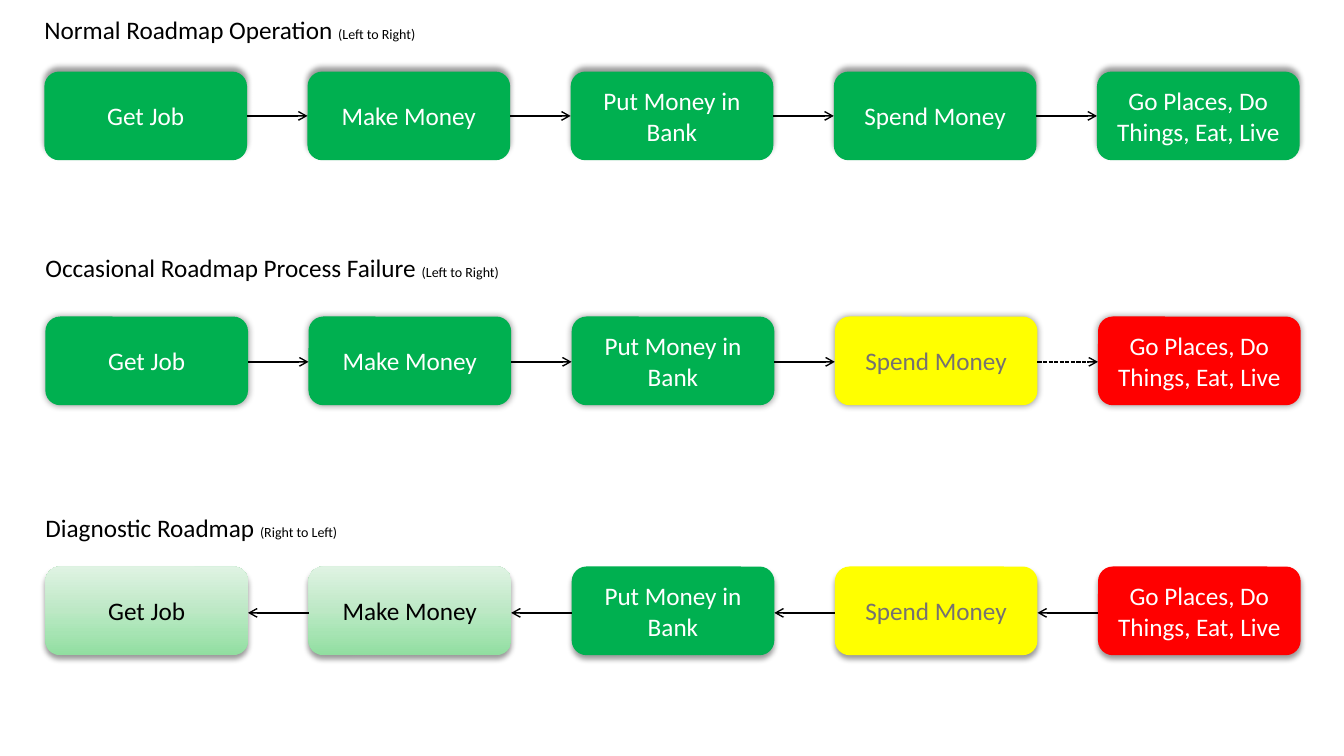
from dataclasses import dataclass

from lxml import etree
from pptx import Presentation
from pptx.dml.color import RGBColor
from pptx.enum.dml import MSO_LINE
from pptx.enum.shapes import MSO_CONNECTOR, MSO_SHAPE
from pptx.enum.text import MSO_ANCHOR, MSO_AUTO_SIZE, PP_ALIGN
from pptx.oxml.ns import qn
from pptx.util import Inches, Pt

ROUND = MSO_SHAPE.ROUNDED_RECTANGLE
STRAIGHT = MSO_CONNECTOR.STRAIGHT
DASH = MSO_LINE.SQUARE_DOT
MIDDLE, TOP = MSO_ANCHOR.MIDDLE, MSO_ANCHOR.TOP
CENTER, LEFT = PP_ALIGN.CENTER, PP_ALIGN.LEFT
FIXED = MSO_AUTO_SIZE.NONE


@dataclass(frozen=True)
class Theme:
    font: str = "Calibri"
    body: int = 18
    note: int = 10
    ink: str = "000000"
    white: str = "FFFFFF"
    gray: str = "767171"
    green: str = "00B050"
    yellow: str = "FFFF00"
    red: str = "FF0000"
    # Pale gradient: percent and colour, from the bottom up
    pale: tuple = ((0, "91DEA0"), (25, "A6E4B3"), (38, "B1E7BC"),
                   (50, "BDE8C5"), (100, "DFF3E3"))


@dataclass(frozen=True)
class Lane:
    title: str
    note: str
    left: float
    head: float      # top of the heading
    top: float       # top of the boxes
    axis: float      # height of the arrows
    shade: tuple     # shadow blur, distance, angle
    looks: tuple     # one (fill, text) pair per step
    back: bool = False
    dash: tuple = ()  # gaps with a dashed arrow


T = Theme()
WIDE, HIGH = 13.33, 7.5
PITCH, BOX_W, BOX_H = 2.61, 2.01, 0.88
HEAD_W, HEAD_H = 4.61, 0.3

STEPS = ("Get Job", "Make Money", "Put Money in Bank", "Spend Money",
         "Go Places, Do Things, Eat, Live")

GOOD = (T.green, T.white)
WARN = (T.yellow, T.gray)
FAIL = (T.red, T.white)
IDLE = (T.pale, T.ink)

LANES = (
    Lane("Normal Roadmap Operation ", "(Left to Right)",
         0.44, 0.14, 0.71, 1.15, (4, 3, 270), (GOOD,) * 5),
    Lane("Occasional Roadmap Process Failure ", "(Left to Right)",
         0.45, 2.5, 3.14, 3.59, (5, 0, 0), (GOOD,) * 3 + (WARN, FAIL),
         dash=(3,)),
    Lane("Diagnostic Roadmap ", "(Right to Left)",
         0.45, 5.08, 5.62, 6.08, (4, 3, 90),
         (IDLE, IDLE, GOOD, WARN, FAIL), back=True),
)


def rgb(code):
    return RGBColor.from_string(code)


def sub(node, tag, **attrs):
    return etree.SubElement(node, qn(tag), attrs)


def add_run(para, text, size, color):
    run = para.add_run()
    run.text = text
    run.font.name = T.font
    run.font.size = Pt(size)
    run.font.color.rgb = rgb(color)


def paint(shape, look):
    """Fill with one colour, or with gradient stops."""
    fill = shape.fill
    if isinstance(look, str):
        fill.solid()
        fill.fore_color.rgb = rgb(look)
        return
    fill.gradient()
    fill.gradient_angle = 90
    stops = shape._element.spPr.find(".//" + qn("a:gsLst"))
    for old in list(stops):
        stops.remove(old)
    for share, code in look:
        stop = sub(stops, "a:gs", pos=str(share * 1000))
        sub(stop, "a:srgbClr", val=code)


def add_shade(shape, blur, dist, angle):
    shape.shadow.inherit = False
    effects = shape._element.spPr.find(qn("a:effectLst"))
    shade = sub(effects, "a:outerShdw", blurRad=str(Pt(blur)),
                dist=str(Pt(dist)), dir=str(angle * 60000),
                rotWithShape="0")
    color = sub(shade, "a:srgbClr", val=T.ink)
    sub(color, "a:alpha", val="40000")


def add_box(slide, left, lane, text, look):
    box = slide.shapes.add_shape(ROUND, Inches(left), Inches(lane.top),
                                 Inches(BOX_W), Inches(BOX_H))
    fill, ink = look
    paint(box, fill)
    box.line.fill.background()
    add_shade(box, *lane.shade)
    frame = box.text_frame
    frame.word_wrap = True
    frame.vertical_anchor = MIDDLE
    para = frame.paragraphs[0]
    para.alignment = CENTER
    add_run(para, text, T.body, ink)


def add_arrow(slide, start, end, lane, dashed):
    y = Inches(lane.axis)
    arrow = slide.shapes.add_connector(STRAIGHT, Inches(start), y,
                                       Inches(end), y)
    arrow.line.color.rgb = rgb(T.ink)
    arrow.line.width = Pt(1)
    if dashed:
        arrow.line.dash_style = DASH
    tip = "a:headEnd" if lane.back else "a:tailEnd"
    sub(arrow.line._get_or_add_ln(), tip, type="arrow")
    sub(arrow._element.spPr, "a:effectLst")


def set_head(shape, lane):
    shape.left, shape.top = Inches(lane.left), Inches(lane.head)
    shape.width, shape.height = Inches(HEAD_W), Inches(HEAD_H)
    frame = shape.text_frame
    frame.margin_left = frame.margin_right = 0
    frame.margin_top = frame.margin_bottom = 0
    frame.word_wrap = True
    frame.auto_size = FIXED
    frame.vertical_anchor = TOP
    para = frame.paragraphs[0]
    para.alignment = LEFT
    add_run(para, lane.title, T.body, T.ink)
    add_run(para, lane.note, T.note, T.ink)


def add_lane(slide, lane):
    lefts = [lane.left + PITCH * col for col in range(len(STEPS))]
    for left, text, look in zip(lefts, STEPS, lane.looks):
        add_box(slide, left, lane, text, look)
    for gap, (left, after) in enumerate(zip(lefts, lefts[1:])):
        add_arrow(slide, left + BOX_W, after, lane, gap in lane.dash)


def main():
    deck = Presentation()
    deck.slide_width, deck.slide_height = Inches(WIDE), Inches(HIGH)
    slide = deck.slides.add_slide(deck.slide_layouts[5])

    # Headings: the first lane takes the title placeholder
    set_head(slide.shapes.title, LANES[0])
    for lane in LANES[1:]:
        set_head(slide.shapes.add_textbox(0, 0, 0, 0), lane)

    # Steps and arrows
    for lane in LANES:
        add_lane(slide, lane)
    deck.save("out.pptx")


main()
